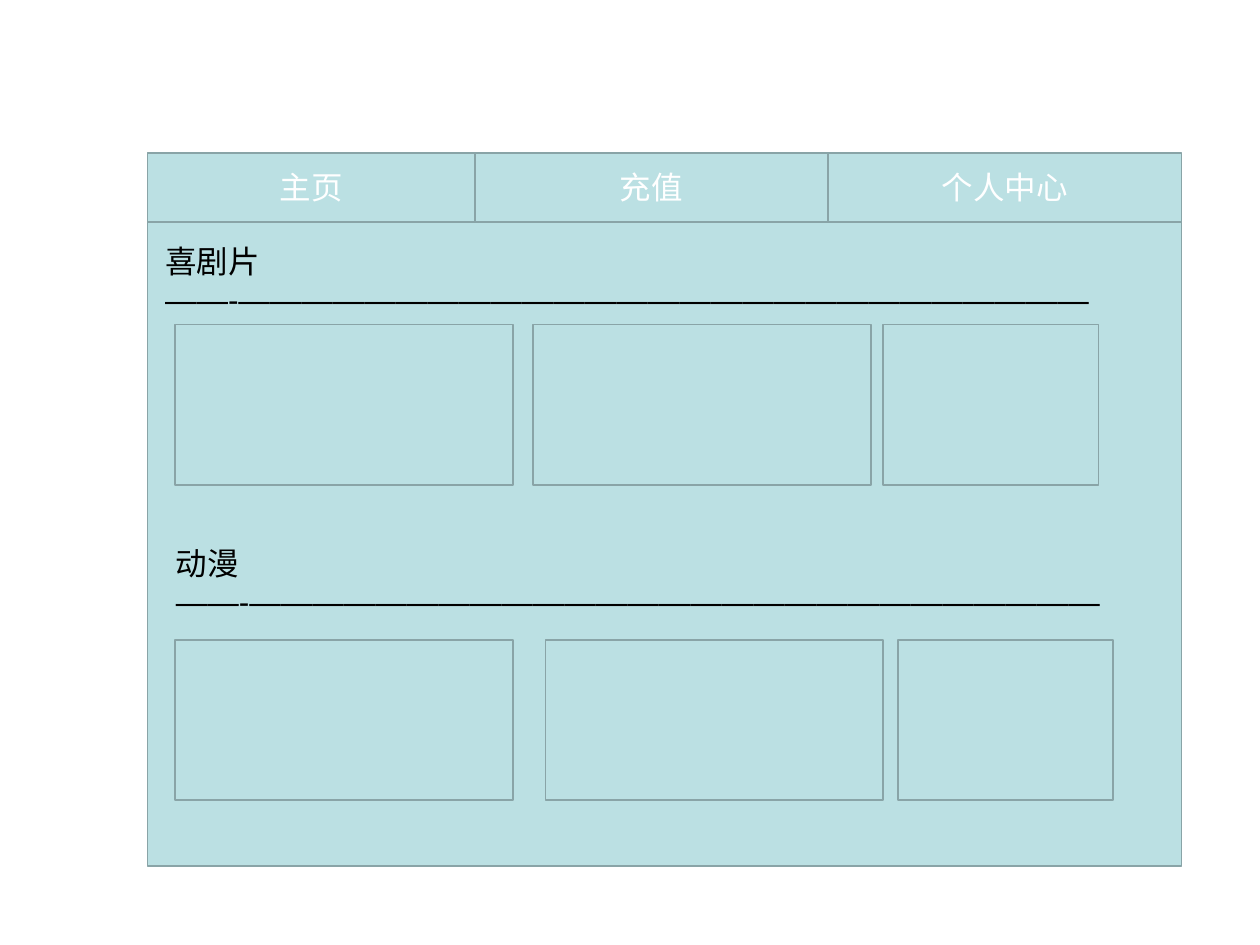
from dataclasses import dataclass

from pptx import Presentation
from pptx.dml.color import RGBColor
from pptx.enum.shapes import MSO_SHAPE
from pptx.enum.text import MSO_ANCHOR, MSO_AUTO_SIZE, PP_ALIGN
from pptx.util import Pt


@dataclass(frozen=True)
class Theme:
    fill: RGBColor = RGBColor(0xBB, 0xE0, 0xE3)
    line: RGBColor = RGBColor(0x89, 0xA4, 0xA7)
    tab_text: RGBColor = RGBColor(0xFF, 0xFF, 0xFF)
    text: RGBColor = RGBColor(0, 0, 0)
    font: str = "Arial"
    size: float = 18
    line_width: float = 1


class Wireframe:
    def __init__(self, slide, theme):
        self.s = slide
        self.theme = theme

    def style_text(self, tf, color, align):
        for p in tf.paragraphs:
            p.alignment = align
            for r in p.runs:
                r.font.name = self.theme.font
                r.font.size = Pt(self.theme.size)
                r.font.color.rgb = color

    def box(self, x, y, w, h):
        sp = self.s.shapes.add_shape(MSO_SHAPE.RECTANGLE, Pt(x), Pt(y), Pt(w), Pt(h))
        sp.shadow.inherit = False
        sp.fill.solid()
        sp.fill.fore_color.rgb = self.theme.fill
        sp.line.color.rgb = self.theme.line
        sp.line.width = Pt(self.theme.line_width)
        return sp

    def tab(self, x, y, w, h, label):
        tf = self.box(x, y, w, h).text_frame
        tf.text = label
        tf.vertical_anchor = MSO_ANCHOR.MIDDLE
        self.style_text(tf, self.theme.tab_text, PP_ALIGN.CENTER)

    def heading(self, x, y, w, h, title):
        """Section title with a rule of dashes on the line below."""
        tf = self.s.shapes.add_textbox(Pt(x), Pt(y), Pt(w), Pt(h)).text_frame
        tf.word_wrap = True
        tf.auto_size = MSO_AUTO_SIZE.SHAPE_TO_FIT_TEXT
        tf.text = title + "\n" + DASHES
        self.style_text(tf, self.theme.text, PP_ALIGN.LEFT)


DASHES = "——-" + "—" * 27
LEFT, TAB_TOP, TAB_H = 84.25, 87.25, 39.5
PANEL_W, PANEL_H = 591, 368
TABS = [("主页", 187), ("充值", 202), ("个人中心", 202)]
HEADING_W, HEADING_H = 548.5, 50.5
CARD_H = 91.5
CARD_WIDTHS = (193, 193, 123.25)
# title, heading x and y, card top, left edges of the cards
SECTIONS = [
    ("喜剧片", 87.25, 134.75, 185.5, (100, 304.75, 504.5)),
    ("动漫", 93.5, 307.25, 365.75, (100, 311.75, 513)),
]


def main():
    prs = Presentation()
    prs.slide_width, prs.slide_height = Pt(720), Pt(540)
    page = Wireframe(prs.slides.add_slide(prs.slide_layouts[6]), Theme())

    page.box(LEFT, TAB_TOP + TAB_H, PANEL_W, PANEL_H)
    x = LEFT
    for label, w in TABS:
        page.tab(x, TAB_TOP, w, TAB_H, label)
        x += w

    for title, x, y, card_top, card_lefts in SECTIONS:
        page.heading(x, y, HEADING_W, HEADING_H, title)
        for card_left, w in zip(card_lefts, CARD_WIDTHS):
            page.box(card_left, card_top, w, CARD_H)

    prs.save("out.pptx")


if __name__ == "__main__":
    main()
